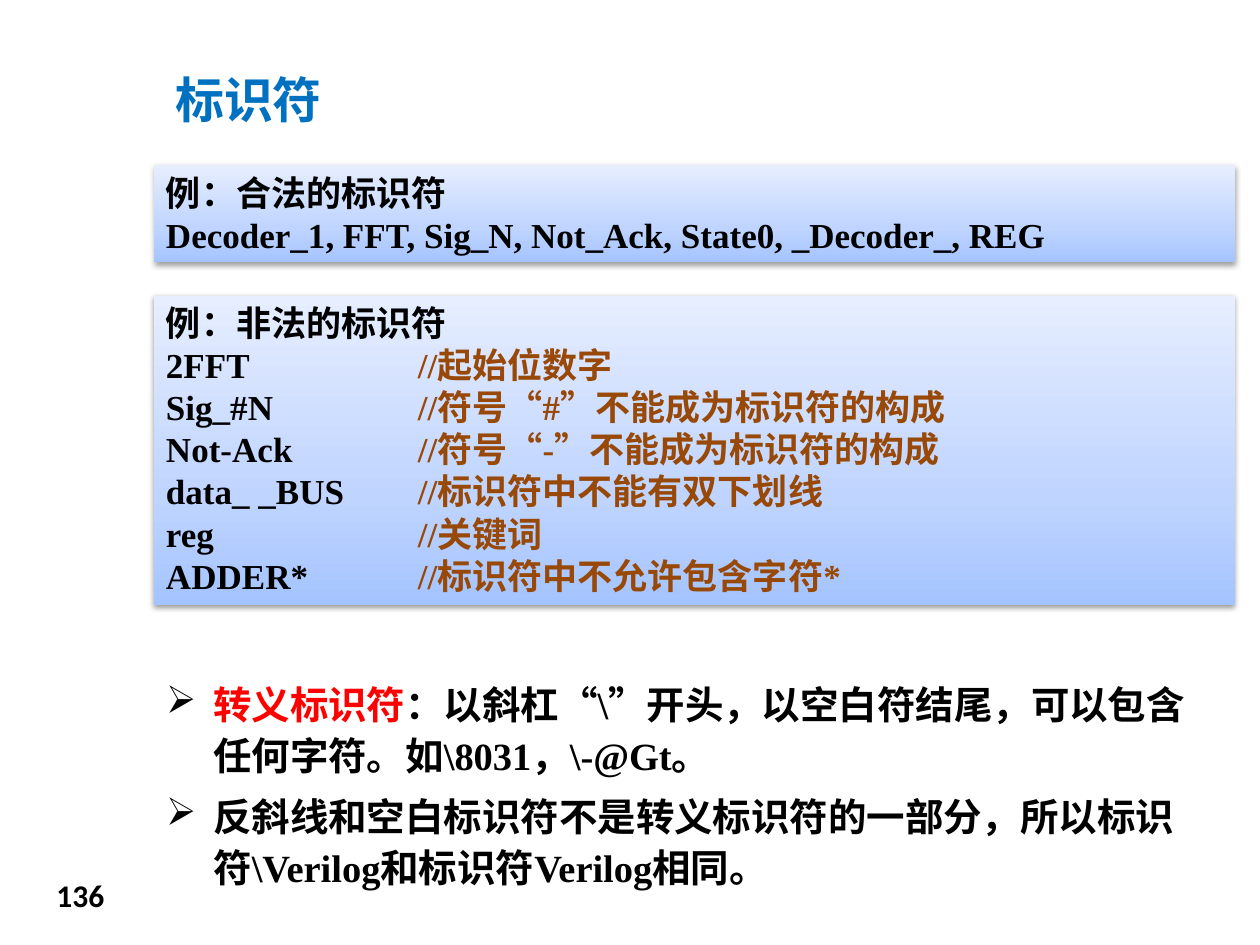
from lxml import etree
from pptx import Presentation
from pptx.dml.color import RGBColor
from pptx.enum.lang import MSO_LANGUAGE_ID
from pptx.enum.shapes import MSO_SHAPE
from pptx.enum.text import MSO_ANCHOR, MSO_AUTO_SIZE, PP_ALIGN
from pptx.oxml import parse_xml
from pptx.oxml.ns import qn
from pptx.util import Pt

RECTANGLE = MSO_SHAPE.RECTANGLE
TOP, MIDDLE = MSO_ANCHOR.TOP, MSO_ANCHOR.MIDDLE
GROW = MSO_AUTO_SIZE.SHAPE_TO_FIT_TEXT
LEFT = PP_ALIGN.LEFT
CHINESE = MSO_LANGUAGE_ID.SIMPLIFIED_CHINESE

BLACK = RGBColor(0x00, 0x00, 0x00)
BLUE = RGBColor(0x00, 0x70, 0xC0)
BROWN = RGBColor(0x98, 0x48, 0x07)
RED = RGBColor(0xFF, 0x00, 0x00)

DRAWING_NS = "http://schemas.openxmlformats.org/drawingml/2006/main"
PANEL_GRADIENT = f"""<a:gradFill xmlns:a="{DRAWING_NS}" rotWithShape="1"><a:gsLst>
<a:gs pos="0"><a:srgbClr val="A4C4FF"/></a:gs>
<a:gs pos="35000"><a:srgbClr val="BFD4FF"/></a:gs>
<a:gs pos="100000"><a:srgbClr val="E6EEFF"/></a:gs>
</a:gsLst><a:lin ang="16200000" scaled="1"/></a:gradFill>"""
PANEL_SHADOW = f"""<a:outerShdw xmlns:a="{DRAWING_NS}" blurRad="40000" dist="20000"
 dir="5400000" rotWithShape="0"><a:srgbClr val="000000"><a:alpha val="38000"/></a:srgbClr>
</a:outerShdw>"""

COMMENT_TAB = Pt(144)
LEGAL = [
    [("例：合法的标识符", BLACK)],
    [("Decoder_1, FFT, Sig_N, Not_Ack, State0, _Decoder_, REG", BLACK)],
]
ILLEGAL_REASONS = [
    ("2FFT", "起始位数字"),
    ("Sig_#N", "符号“#”不能成为标识符的构成"),
    ("Not-Ack", "符号“-”不能成为标识符的构成"),
    ("data_ _BUS", "标识符中不能有双下划线"),
    ("reg", "关键词"),
    ("ADDER*", "标识符中不允许包含字符*"),
]
ILLEGAL = [[("例：非法的标识符", BLACK)]] + [
    [(name + "\t", BLACK), ("//" + reason, BROWN)] for name, reason in ILLEGAL_REASONS
]
ESCAPED = [
    [("转义标识符", RED),
     ("：以斜杠“\\”开头，以空白符结尾，可以包含任何字符。如\\8031，\\-@Gt。", BLACK)],
    [("反斜线和空白标识符不是转义标识符的一部分，所以标识符\\Verilog和标识符Verilog相同。", BLACK)],
]


def write_lines(frame, lines, size, face="Times New Roman", anchor=TOP):
    """Fill a text frame; each line is a list of (text, colour) runs."""
    frame.word_wrap = True
    frame.vertical_anchor = anchor
    for index, line in enumerate(lines):
        paragraph = frame.paragraphs[0] if index == 0 else frame.add_paragraph()
        paragraph.alignment = LEFT
        for text, color in line:
            run = paragraph.add_run()
            run.text = text
            formats = {"name": face, "size": Pt(size), "bold": True, "language_id": CHINESE}
            for attribute, value in formats.items():
                setattr(run.font, attribute, value)
            run.font.color.rgb = color


def place_title(slide, box):
    title = slide.shapes.title
    title.left, title.top, title.width, title.height = box
    write_lines(title.text_frame, [[("标识符", BLUE)]], 28, anchor=MIDDLE)
    title.text_frame.auto_size = GROW


def add_example_panel(slide, box, lines):
    panel = slide.shapes.add_shape(RECTANGLE, *box)
    panel.line.fill.background()
    panel.shadow.inherit = False
    properties = panel.element.spPr
    properties.find(qn("a:prstGeom")).addnext(parse_xml(PANEL_GRADIENT))
    properties.find(qn("a:effectLst")).append(parse_xml(PANEL_SHADOW))
    write_lines(panel.text_frame, lines, 20)
    panel.text_frame.auto_size = GROW
    for paragraph in panel.text_frame.paragraphs:
        tabs = etree.SubElement(paragraph._p.get_or_add_pPr(), qn("a:tabLst"))
        etree.SubElement(tabs, qn("a:tab"), pos=str(int(COMMENT_TAB)), algn="l")


def add_bullets(slide, box, lines):
    frame = slide.shapes.add_textbox(*box).text_frame
    write_lines(frame, lines, 22)
    frame.auto_size = GROW
    for paragraph in frame.paragraphs:
        properties = paragraph._p.get_or_add_pPr()
        properties.set("marL", str(int(Pt(27))))
        properties.set("indent", str(int(Pt(-27))))
        bullet_color = etree.SubElement(properties, qn("a:buClr"))
        etree.SubElement(bullet_color, qn("a:srgbClr"), val=str(BLACK))
        etree.SubElement(properties, qn("a:buChar"), char="➢")
        paragraph.line_spacing = 1.1
        paragraph.space_after = Pt(6)


def add_page_number(slide, box):
    frame = slide.shapes.add_textbox(*box).text_frame
    write_lines(frame, [[("136", BLACK)]], 18, face="Calibri")


def points(*lengths):
    return [Pt(length) for length in lengths]


def main():
    presentation = Presentation()
    presentation.slide_width, presentation.slide_height = points(720, 540)
    slide = presentation.slides.add_slide(presentation.slide_layouts[5])
    place_title(slide, points(92.9, 36, 602, 41))
    add_example_panel(slide, points(87.8, 94.3, 618, 55.7), LEGAL)
    add_example_panel(slide, points(87.8, 169, 618, 177), ILLEGAL)
    add_bullets(slide, points(87.8, 383, 608, 130), ESCAPED)
    add_page_number(slide, points(25.2, 496.8, 45.4, 32.4))
    presentation.save("out.pptx")


if __name__ == "__main__":
    main()
